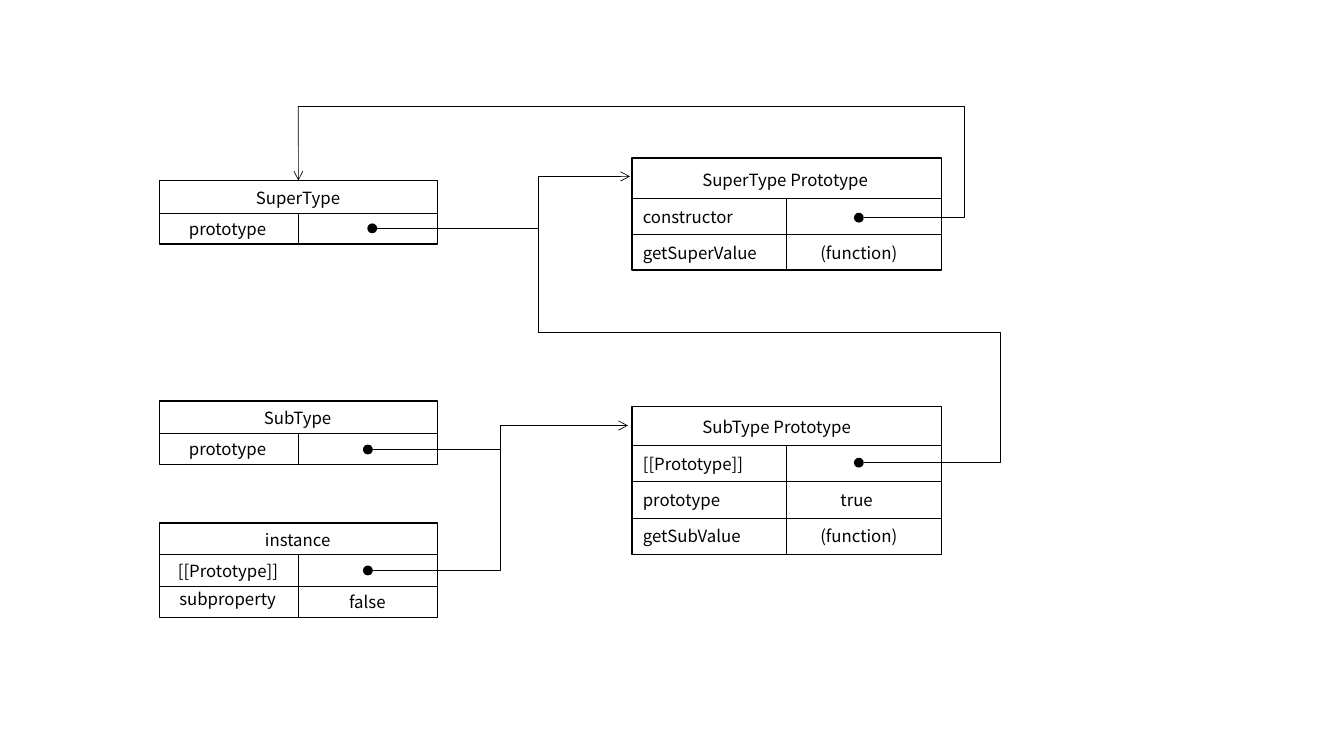
from lxml import etree
from pptx import Presentation, util as u
from pptx.dml.color import RGBColor
from pptx.enum import shapes, text
from pptx.oxml.ns import qn

BLACK = RGBColor(0, 0, 0)
WHITE = RGBColor(255, 255, 255)
FONT = "Noto Sans CJK SC"
HIGH = 21.6
DOT = 6
WIDTHS = {
    "SuperType": 74.9, "SubType": 63.4, "instance": 61.9, "prototype": 71.3,
    "[[Prototype]]": 87.1, "subproperty": 85, "false": 41, "true": 41,
    "SuperType Prototype": 134.6, "SubType Prototype": 123.8,
    "constructor": 79.9, "getSuperValue": 97.9, "getSubValue": 86.4,
    "(function)": 69.8,
}


def put(slide, words, left, mid):
    """Write one label from its left edge, centred on a height."""
    area = slide.shapes.add_textbox(
        u.Pt(left), u.Pt(mid - HIGH / 2), u.Pt(WIDTHS[words]), u.Pt(HIGH))
    frame = area.text_frame
    frame.word_wrap = False
    frame.auto_size = text.MSO_AUTO_SIZE.SHAPE_TO_FIT_TEXT
    run = frame.paragraphs[0].add_run()
    run.text = words
    run.font.size = u.Pt(12)
    run.font.name = FONT
    run.font.color.rgb = BLACK
    props = run.font._element
    etree.SubElement(props, qn("a:ea")).set("typeface", FONT)


def centre(slide, words, x, mid):
    """Write one label centred on a point."""
    put(slide, words, x - WIDTHS[words] / 2, mid)


def fill(slide, kind, left, top, width, height, color):
    """Draw a filled shape with a thin black outline."""
    shape = slide.shapes.add_shape(
        kind, u.Pt(left), u.Pt(top), u.Pt(width), u.Pt(height))
    shape.shadow.inherit = False
    shape.fill.solid()
    shape.fill.fore_color.rgb = color
    shape.line.color.rgb = BLACK
    shape.line.width = u.Pt(1)
    return shape


def link(slide, start, end, arrow=False, bend=None):
    """Draw a straight line, or an elbow that turns at the given share."""
    kind = shapes.MSO_CONNECTOR
    line = slide.shapes.add_connector(
        kind.STRAIGHT if bend is None else kind.ELBOW,
        *[u.Pt(n) for n in (*start, *end)])
    line.line.color.rgb = BLACK
    line.line.width = u.Pt(0.5)
    props = line._element.spPr
    if arrow:
        tail = etree.SubElement(props.find(qn("a:ln")), qn("a:tailEnd"))
        tail.set("type", "arrow")
    etree.SubElement(props, qn("a:effectLst"))
    if bend is not None:
        guide = etree.SubElement(props.find(".//" + qn("a:avLst")), qn("a:gd"))
        guide.set("name", "adj1")
        guide.set("fmla", f"val {round(bend * 100000)}")
    return line


def dot(slide, x, y):
    """Mark the start of a reference."""
    fill(slide, shapes.MSO_SHAPE.OVAL, x - DOT / 2, y - DOT / 2, DOT, DOT, BLACK)


def frame(slide, left, top, width, head, rows):
    """Draw a ruled box: a head row, then two cells in each row."""
    high = head + sum(row[0] for row in rows)
    rect = fill(slide, shapes.MSO_SHAPE.RECTANGLE, left, top, width, high, WHITE)
    half = left + width / 2
    split = link(slide, (half, top + head), (half, top + high))
    split.end_connect(rect, 2)
    y = top + head
    for step, *_ in rows:
        link(slide, (left, y), (left + width, y))
        y += step
    return rect


def object_box(slide, left, top, title, head, rows):
    """Draw an object with centred title and cells."""
    width = 198.7
    rect = frame(slide, left, top, width, head, rows)
    centre(slide, title, left + width / 2, top + head / 2 + 0.7)
    y = top + head
    for step, name, value, lift in rows:
        centre(slide, name, left + width / 4, y + step / 2 - lift)
        if value:
            centre(slide, value, left + width * 0.75, y + step / 2)
        y += step
    return rect


def proto_box(slide, left, top, title, head, rows):
    """Draw a prototype with names set at the left."""
    width = 221
    frame(slide, left, top, width, head, rows)
    put(slide, title, left + 43.2, top + head / 2 + 0.9)
    y = top + head
    for step, name, value in rows:
        put(slide, name, left + 0.7, y + step / 2)
        if value:
            centre(slide, value, left + 162.4, y + step / 2)
        y += step


def links(slide, target):
    """Draw the references between the boxes."""
    dot(slide, 613.5, 155.5)
    link(slide, (617, 155.5), (213.1, 76), bend=-0.177)
    back = link(slide, (213.1, 76), (213.1, 128.9), arrow=True)
    back.end_connect(target, 0)

    dot(slide, 262.8, 407.5)
    link(slide, (265.7, 407.5), (448.6, 304), arrow=True, bend=0.5)
    dot(slide, 262.8, 321.1)
    link(slide, (262.8, 321.1), (356.8, 321.1))

    dot(slide, 613.5, 330.5)
    link(slide, (617, 330.5), (384.5, 237.4), bend=-0.419)
    link(slide, (384.5, 237.4), (384.5, 126))
    link(slide, (384.5, 126), (450, 126), arrow=True)
    dot(slide, 265.9, 163.1)
    link(slide, (269.3, 163.1), (384.5, 163.1))


def main():
    """Build the slide of prototype chains."""
    deck = Presentation()
    deck.slide_width, deck.slide_height = u.Pt(960), u.Pt(540)
    slide = deck.slides.add_slide(deck.slide_layouts[6])
    left, right = 113.8, 451.4
    one = [(22, "prototype", "", 0)]
    target = object_box(slide, left, 128.9, "SuperType", 23.4, one)
    object_box(slide, left, 286.4, "SubType", 23.4, one)
    object_box(slide, left, 373.7, "instance", 22.4, [
        (22.8, "[[Prototype]]", "", 0), (22.2, "subproperty", "false", 2.2)])
    proto_box(slide, right, 113, "SuperType Prototype", 28.8, [
        (25.9, "constructor", ""), (25.3, "getSuperValue", "(function)")])
    proto_box(slide, right, 290.2, "SubType Prototype", 28, [
        (25.9, "[[Prototype]]", ""), (25.9, "prototype", "true"),
        (25.9, "getSubValue", "(function)")])
    links(slide, target)
    deck.save("out.pptx")


if __name__ == "__main__":
    main()
